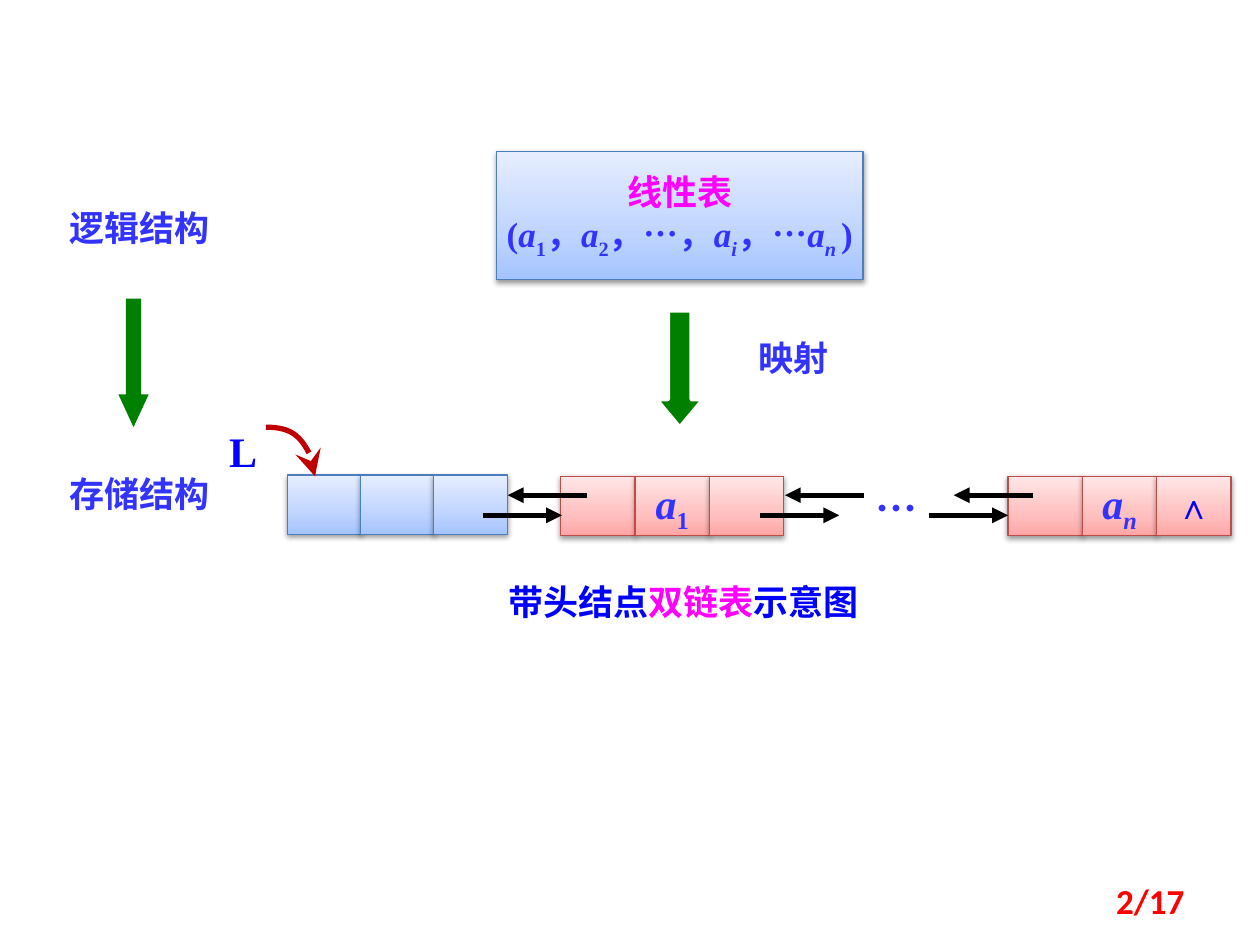
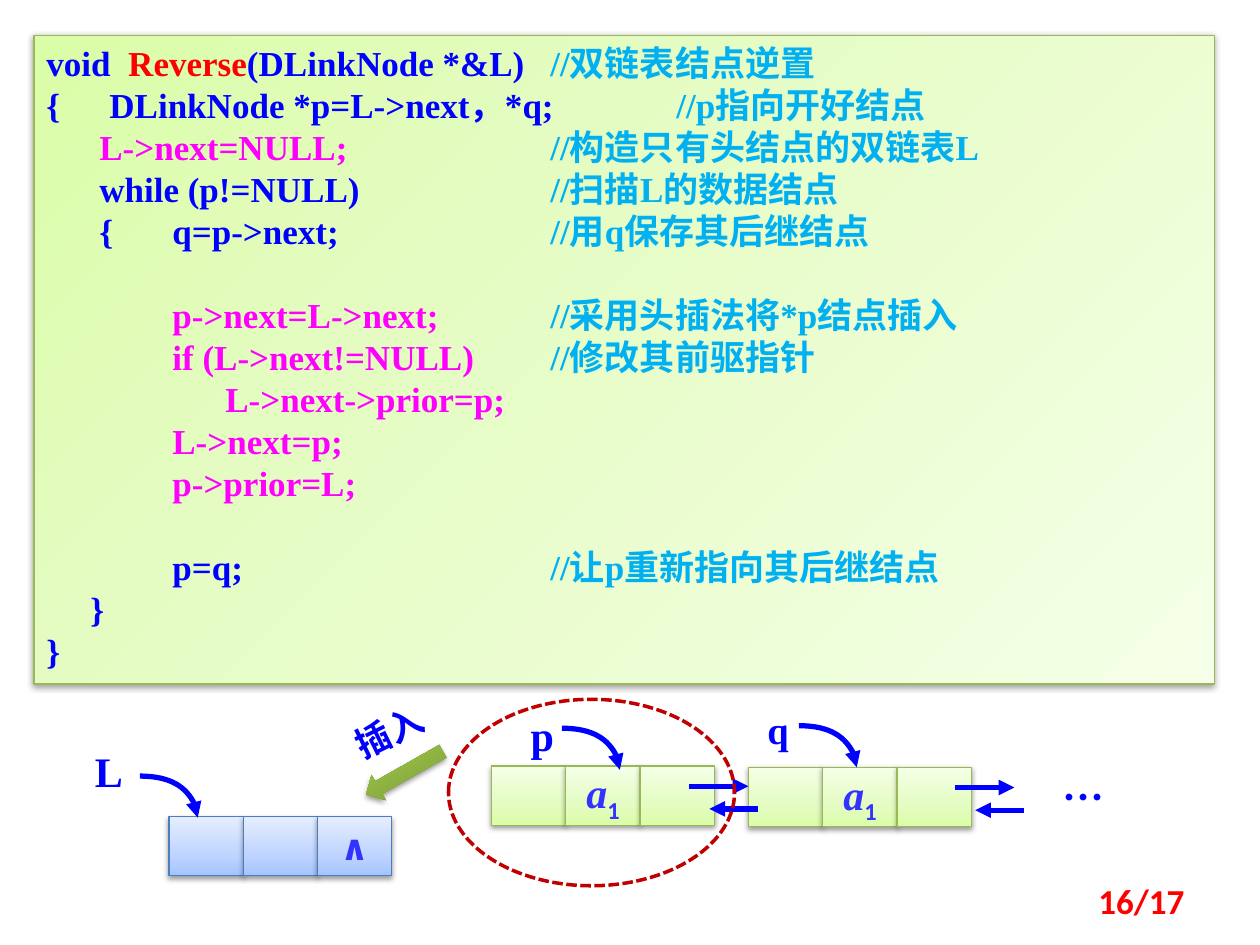
"""Build two slides on doubly linked lists: the storage mapping and the reversal code."""
from dataclasses import dataclass

from lxml import etree
from pptx import Presentation
from pptx.dml.color import RGBColor
from pptx.enum.dml import MSO_LINE
from pptx.enum.shapes import MSO_CONNECTOR, MSO_SHAPE
from pptx.enum.text import MSO_ANCHOR, PP_ALIGN
from pptx.oxml.ns import qn
from pptx.util import Inches, Pt

RECTANGLE, OVAL = MSO_SHAPE.RECTANGLE, MSO_SHAPE.OVAL
DOWN_ARROW, LEFT_ARROW = MSO_SHAPE.DOWN_ARROW, MSO_SHAPE.LEFT_ARROW
STRAIGHT, DASH = MSO_CONNECTOR.STRAIGHT, MSO_LINE.SQUARE_DOT
LEFT, CENTER, RIGHT = PP_ALIGN.LEFT, PP_ALIGN.CENTER, PP_ALIGN.RIGHT
TOP, MIDDLE = MSO_ANCHOR.TOP, MSO_ANCHOR.MIDDLE

SERIF, SANS, CJK = "Times New Roman", "Calibri", "Noto Sans CJK SC"
BLUE, VIOLET, MAGENTA, SKY = "0000FF", "3333FF", "FF00FF", "00B0F0"
RED, DARK_RED, GREEN, BLACK, WHITE = "FF0000", "C00000", "008000", "000000", "FFFFFF"
CELL_WIDTH, CELL_HEIGHT = 0.59, 0.47
LINE_FACTOR = 1.2


@dataclass(frozen=True)
class Run:
    """A stretch of text with one format."""
    text: str
    color: str = BLUE
    size: float = 20
    font: str = SERIF
    italic: bool = False
    subscript: bool = False


@dataclass(frozen=True)
class Line:
    """A paragraph with its first-line indent and blank lines above."""
    runs: tuple
    indent: float = 0
    gap: int = 0


@dataclass(frozen=True)
class Box:
    """A place on the slide in inches."""
    left: float
    top: float
    width: float
    height: float

    def lengths(self) -> tuple:
        """Return the four lengths for python-pptx."""
        return tuple(Inches(value) for value in (self.left, self.top, self.width, self.height))


@dataclass(frozen=True)
class Theme:
    """Gradient stops, outline and gradient angle of a raised shape."""
    stops: tuple
    outline: str = ""
    angle: float = 270


@dataclass(frozen=True)
class Node:
    """A list node of three cells, with labels in some of them."""
    left: float
    top: float
    theme: Theme
    labels: dict
    pitch: float = CELL_WIDTH


@dataclass(frozen=True)
class Links:
    """Offsets of a forward and a backward arrow."""
    color: str
    forward_end: float
    back_start: float
    back_end: float
    back_rise: float


BLUE_THEME = Theme(((0, "A4C4FF"), (35, "BFD4FF"), (100, "E6EEFF")), "4B7EBC")
PINK_THEME = Theme(((0, "FFA6A5"), (35, "FFC0BF"), (100, "FFE7E7")), "BF4C48")
LIME_STOPS = ((0, "DAFDA7"), (35, "E4FCC2"), (100, "F5FFE7"))
LIME_THEME = Theme(LIME_STOPS, "98B955")
CODE_THEME = Theme(LIME_STOPS, "98B955", 45)
ARROW_THEME = Theme(((0, "779737"), (80, "9BC348"), (100, "9DC746")))
STORAGE_LINKS = Links(BLACK, 0.63, 0.83, 0.2, -0.16)
REVERSAL_LINKS = Links(BLUE, 0.47, 0.55, 0.16, 0.18)


def rgb(value: str) -> RGBColor:
    """Turn a hex string into a colour."""
    return RGBColor.from_string(value)


def add_element(parent, tag: str, **attributes):
    """Append a DrawingML element with the given attributes."""
    values = {name: str(value) for name, value in attributes.items()}
    return etree.SubElement(parent, qn(f"a:{tag}"), values)


def apply(target, values: dict) -> None:
    """Set each named attribute on the target."""
    for name, value in values.items():
        setattr(target, name, value)


def write(shape, lines, align=CENTER, anchor=TOP, wrap=True, margins=(0.1, 0.05)) -> None:
    """Write paragraphs into a shape, with a fixed line height below a top anchor."""
    frame = shape.text_frame
    side, edge = (Inches(margin) for margin in margins)
    apply(frame, {"word_wrap": wrap, "vertical_anchor": anchor, "margin_left": side,
                  "margin_right": side, "margin_top": edge, "margin_bottom": edge})
    for index, line in enumerate(lines):
        paragraph = frame.add_paragraph() if index else frame.paragraphs[0]
        height = line.runs[0].size * LINE_FACTOR
        apply(paragraph, {"alignment": align, "space_before": Pt(height * line.gap),
                          "line_spacing": Pt(height) if anchor == TOP else 1.0})
        paragraph._p.get_or_add_pPr().set("indent", str(Inches(line.indent)))
        for item in line.runs:
            run = paragraph.add_run()
            run.text = item.text
            apply(run.font, {"size": Pt(item.size), "bold": True,
                             "italic": item.italic, "name": item.font})
            run.font.color.rgb = rgb(item.color)
            run_properties = run._r.get_or_add_rPr()
            if item.subscript:
                run_properties.set("baseline", "-25000")
            add_element(run_properties, "ea", typeface=CJK)


def add_text(slide, box: Box, *runs: Run, rotation: float = 0, **layout) -> None:
    """Add a one-paragraph text box."""
    shape = slide.shapes.add_textbox(*box.lengths())
    shape.rotation = rotation
    write(shape, [Line(runs)], **layout)


def add_plain(slide, kind, box: Box, fill: str = "", line: str = "", width: float = 0):
    """Add a flat preset shape."""
    shape = slide.shapes.add_shape(kind, *box.lengths())
    shape.shadow.inherit = False
    for part, color in ((shape.fill, fill), (shape.line.fill, line)):
        if color:
            part.solid()
            part.fore_color.rgb = rgb(color)
        else:
            part.background()
    if line:
        shape.line.width = Pt(width)
    return shape


def add_raised(slide, kind, box: Box, theme: Theme):
    """Add a preset shape with a gradient fill and a soft shadow."""
    shape = add_plain(slide, kind, box, line=theme.outline, width=0.75)
    properties = shape.element.spPr
    gradient = etree.Element(qn("a:gradFill"), {"rotWithShape": "1"})
    stop_list = add_element(gradient, "gsLst")
    for position, color in theme.stops:
        stop = add_element(stop_list, "gs", pos=position * 1000)
        add_element(stop, "srgbClr", val=color)
    add_element(gradient, "lin", ang=theme.angle * 60000, scaled=0)
    properties.replace(properties.find(qn("a:noFill")), gradient)
    shadow = add_element(properties.find(qn("a:effectLst")), "outerShdw", blurRad=Pt(3.1),
                         dist=Pt(1.6), dir=5400000, rotWithShape=0)
    add_element(add_element(shadow, "srgbClr", val=BLACK), "alpha", val=38000)
    return shape


def finish_arrow(shape, color: str, head: str = "triangle", size: str = "med") -> None:
    """Give a line its colour, width and arrowhead, without shadow."""
    shape.line.color.rgb = rgb(color)
    shape.line.width = Pt(3)
    properties = shape.element.spPr
    add_element(properties.get_or_add_ln(), "tailEnd", type=head, w=size, len=size)
    if properties.find(qn("a:effectLst")) is None:
        add_element(properties, "effectLst")


def add_links(slide, left: float, top: float, links: Links) -> None:
    """Draw a forward arrow and a backward arrow between two nodes."""
    spans = ((0, links.forward_end, top), (links.back_start, links.back_end, top + links.back_rise))
    for start, end, height in spans:
        points = (left + start, height, left + end, height)
        connector = slide.shapes.add_connector(STRAIGHT, *(Inches(value) for value in points))
        finish_arrow(connector, links.color)


def add_pointer(slide, box: Box, color: str, **head) -> None:
    """Draw a quarter-ellipse arrow from the top left to the bottom right."""
    left, top, width, height = box.lengths()
    builder = slide.shapes.build_freeform(left, top)
    builder.add_line_segments([(left + width, top + height)], close=False)
    shape = builder.convert_to_shape()
    shape.fill.background()
    shape.shadow.inherit = False
    segment = next(shape.element.iter(qn("a:lnTo")))
    curve = etree.Element(qn("a:cubicBezTo"))
    for across, down in ((0.55, 0), (1, 0.45), (1, 1)):
        add_element(curve, "pt", x=int(width * across), y=int(height * down))
    segment.getparent().replace(segment, curve)
    finish_arrow(shape, color, **head)


def add_node(slide, node: Node) -> None:
    """Draw the three cells of a node."""
    for index in range(3):
        box = Box(node.left + index * node.pitch, node.top, CELL_WIDTH, CELL_HEIGHT)
        cell = add_raised(slide, RECTANGLE, box, node.theme)
        if index in node.labels:
            write(cell, [Line(node.labels[index])], anchor=MIDDLE, wrap=False)


def element_label(index: str, font: str = SERIF) -> tuple:
    """Return the runs of a list element with its subscript."""
    return (Run("a", VIOLET, 24, italic=True),
            Run(index, VIOLET, 24, font, italic=index == "n", subscript=True))


def add_page_number(slide, number: int) -> None:
    """Write the page number at the bottom right."""
    add_text(slide, Box(7.17, 6.95, 2.33, 0.4), Run(f"{number}/17", RED, font=SANS),
             align=RIGHT, anchor=MIDDLE)


def build_storage_slide(slide) -> None:
    """Show how a linear list maps to a doubly linked list."""
    sequence = [Run("(", VIOLET)]
    for index, after in (("1", "，"), ("2", "，…，"), ("i", "，…"), ("n ", ")")):
        sequence += [Run("a", VIOLET, italic=True),
                     Run(index, VIOLET, italic=not index.isdigit(), subscript=True),
                     Run(after, VIOLET)]
    linear_list = add_raised(slide, RECTANGLE, Box(3.94, 1.2, 2.91, 1.02), BLUE_THEME)
    write(linear_list, [Line((Run("线性表", MAGENTA),)), Line(tuple(sequence))],
          anchor=MIDDLE, wrap=False)
    for box, head, outline in ((Box(5.2, 2.46, 0.39, 0.94), 0.6, WHITE),
                               (Box(0.94, 2.37, 0.24, 1.02), 1.08, "")):
        arrow = add_plain(slide, DOWN_ARROW, box, GREEN, outline, 3)
        arrow.adjustments[1] = head
    for box, text in ((Box(5.75, 2.62, 1.09, 0.43), "映射"),
                      (Box(0.16, 1.59, 1.89, 0.44), "逻辑结构"),
                      (Box(0.16, 3.7, 1.89, 0.44), "存储结构")):
        add_text(slide, box, Run(text, VIOLET, font=CJK))
    for node in (Node(2.28, 3.77, BLUE_THEME, {}, 0.58),
                 Node(4.45, 3.78, PINK_THEME, {1: element_label("1")}),
                 Node(8, 3.78, PINK_THEME, {1: element_label("n"), 2: (Run("∧"),)})):
        add_node(slide, node)
    add_text(slide, Box(6.8, 3.78, 0.63, 0.5), Run("…", VIOLET, 24, CJK))
    add_pointer(slide, Box(2.11, 3.39, 0.39, 0.39), DARK_RED, head="stealth", size="lg")
    add_text(slide, Box(1.72, 3.33, 0.47, 0.5), Run("L", size=24), align=LEFT)
    add_text(slide, Box(3.59, 4.56, 3.67, 0.44), Run("带头结点", font=CJK),
             Run("双链表", MAGENTA, font=CJK), Run("示意图", font=CJK))
    for left in (3.83, 6.03, 7.37):
        add_links(slide, left, 4.09, STORAGE_LINKS)


def code(text: str, note: str = "", color: str = BLUE, tabs: int = 0, **layout) -> Line:
    """Return a code line with its comment a number of tabs further on."""
    comment = (Run("\t" * tabs, color), Run(note, SKY)) if note else ()
    return Line((Run(text, color), *comment), **layout)


def build_reversal_slide(slide) -> None:
    """Show the reversal code and one step of it."""
    lines = [
        Line((Run("void  "), Run("Reverse", RED), Run("(DLinkNode *&L)\t"),
              Run("//双链表结点逆置", SKY))),
        code("{\tDLinkNode *p=L->next，*q;", "//p指向开好结点", tabs=2),
        code("L->next=NULL;", "//构造只有头结点的双链表L", MAGENTA, 4, indent=0.42),
        code("while (p!=NULL)", "//扫描L的数据结点", tabs=4, indent=0.42),
        code("{\tq=p->next;", "//用q保存其后继结点", tabs=4, indent=0.42),
        code("p->next=L->next;", "//采用头插法将*p结点插入", MAGENTA, 2, indent=1, gap=1),
        code("if (L->next!=NULL)", "//修改其前驱指针", MAGENTA, 2, indent=1),
        code("L->next->prior=p;", color=MAGENTA, indent=1.42),
        code("L->next=p;", color=MAGENTA, indent=1),
        code("p->prior=L;", color=MAGENTA, indent=1),
        code("p=q;", "//让p重新指向其后继结点", tabs=5, indent=1, gap=1),
        code("}", indent=0.35),
        code("}"),
    ]
    listing = add_raised(slide, RECTANGLE, Box(0.27, 0.28, 9.37, 5.15), CODE_THEME)
    write(listing, lines, align=LEFT)
    for node in (Node(1.34, 6.48, BLUE_THEME, {2: (Run("∧", VIOLET, font=SANS),)}),
                 Node(3.9, 6.08, LIME_THEME, {1: element_label("1", SANS)}),
                 Node(5.94, 6.09, LIME_THEME, {1: element_label("1", SANS)})):
        add_node(slide, node)
    for name, size, left, top, arrow_left, arrow_top in (("L", 24, 0.55, 5.92, 1.11, 6.16),
                                                         ("p", 24, 3.99, 5.63, 4.46, 5.78),
                                                         ("q", 22, 5.86, 5.6, 6.34, 5.76)):
        add_text(slide, Box(left, top, 0.63, 0.4), Run(name, size=size), margins=(0, 0))
        add_pointer(slide, Box(arrow_left, arrow_top, 0.46, 0.33), BLUE)
    for left, top in ((5.47, 6.24), (7.58, 6.25)):
        add_links(slide, left, top, REVERSAL_LINKS)
    add_text(slide, Box(8.13, 6.12, 0.94, 0.4), Run("…", size=24, font=CJK), margins=(0, 0))
    ring = add_plain(slide, OVAL, Box(3.56, 5.55, 2.27, 1.48), line=DARK_RED, width=2)
    ring.line.dash_style = DASH
    insertion = add_raised(slide, LEFT_ARROW, Box(2.86, 6.02, 0.7, 0.23), ARROW_THEME)
    insertion.rotation = 330.5
    add_text(slide, Box(2.58, 5.59, 1.02, 0.44), Run("插入", font=CJK), rotation=333.6)


def main() -> None:
    """Build and save the presentation."""
    presentation = Presentation()
    apply(presentation, {"slide_width": Inches(10), "slide_height": Inches(7.5)})
    for build, number in ((build_storage_slide, 2), (build_reversal_slide, 16)):
        slide = presentation.slides.add_slide(presentation.slide_layouts[6])
        build(slide)
        add_page_number(slide, number)
    presentation.save("out.pptx")


main()
